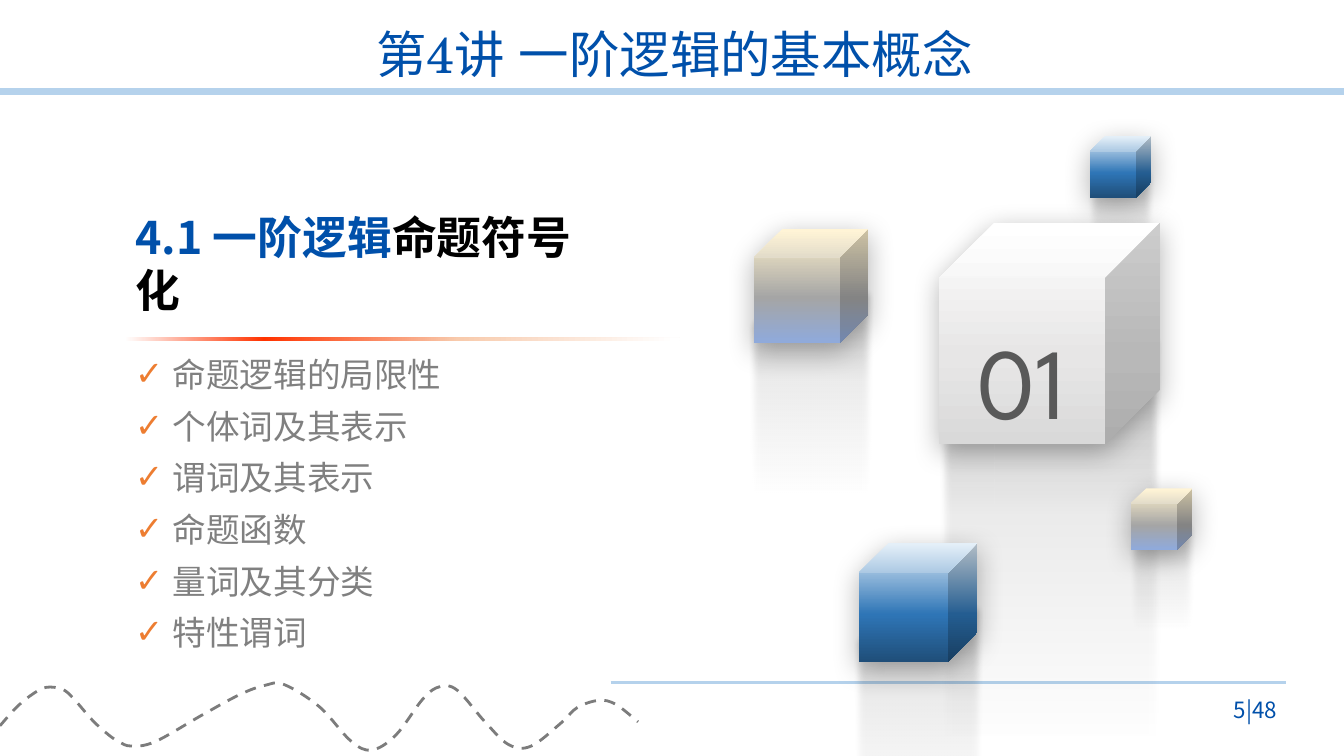
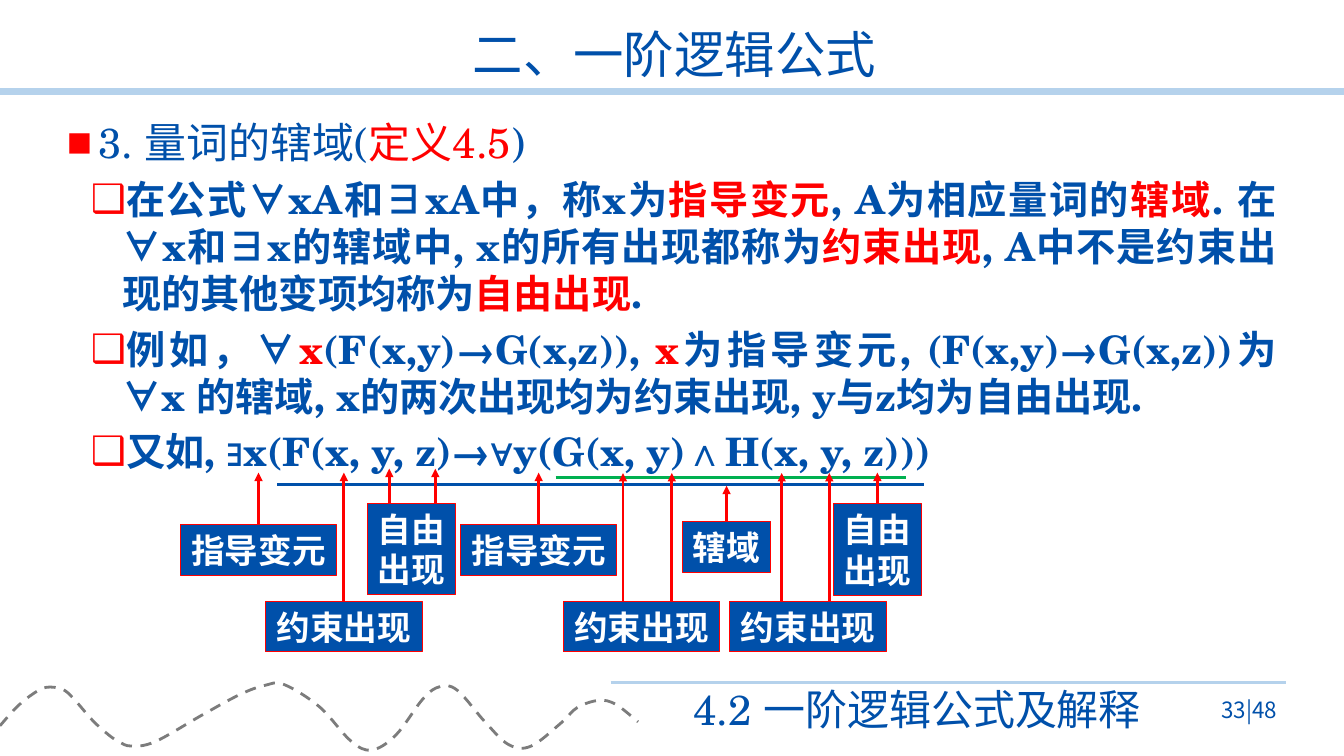
"""Build two lecture slides on first-order logic."""
from dataclasses import dataclass
from typing import Any, NamedTuple

from lxml import etree
from pptx import Presentation
from pptx.dml.color import RGBColor
from pptx.enum.dml import MSO_LINE
from pptx.enum.shapes import MSO_CONNECTOR, MSO_SHAPE
from pptx.enum.text import MSO_ANCHOR, MSO_AUTO_SIZE, PP_ALIGN
from pptx.oxml.ns import qn
from pptx.util import Cm, Pt

STRAIGHT = MSO_CONNECTOR.STRAIGHT
CUBE, RECT, ROUND_RECT = MSO_SHAPE.CUBE, MSO_SHAPE.RECTANGLE, MSO_SHAPE.ROUNDED_RECTANGLE
DASH = MSO_LINE.DASH
TOP, MIDDLE, BOTTOM = MSO_ANCHOR.TOP, MSO_ANCHOR.MIDDLE, MSO_ANCHOR.BOTTOM
LEFT, CENTER, RIGHT, JUSTIFY = PP_ALIGN.LEFT, PP_ALIGN.CENTER, PP_ALIGN.RIGHT, PP_ALIGN.JUSTIFY
FIXED = MSO_AUTO_SIZE.NONE

BLUE = RGBColor(0x00, 0x50, 0xAA)
RED = RGBColor(0xFF, 0x00, 0x00)
GREEN = RGBColor(0x00, 0xB0, 0x50)
ORANGE = RGBColor(0xED, 0x7D, 0x31)
BAND = RGBColor(0xB5, 0xD2, 0xEC)
GRAY = RGBColor(0x80, 0x80, 0x80)
WAVE_GRAY = RGBColor(0x7C, 0x7C, 0x7C)
DARK_GRAY = RGBColor(0x59, 0x59, 0x59)
BLACK = RGBColor(0, 0, 0)
WHITE = RGBColor(0xFF, 0xFF, 0xFF)

SANS, SERIF = "Noto Sans CJK SC", "TeX Gyre Schola"
TITLE_FONT = {"name": SERIF, "size": Pt(36), "bold": False}
TOPIC_FONT = {"name": SERIF, "size": Pt(30), "bold": False}
DETAIL_FONT = {"name": SERIF, "size": Pt(28), "bold": True}
HEADING_FONT = {"name": SANS, "size": Pt(32), "bold": True}
ITEM_FONT = {"name": SANS, "size": Pt(24), "bold": False}
LABEL_FONT = {"name": SANS, "size": Pt(24), "bold": True}
PAGE_FONT = {"name": SANS, "size": Pt(16), "bold": False}
NUMBER_FONT = {"name": "League Spartan", "size": Pt(72), "bold": False}


class Box(NamedTuple):
    """Left, top, width and height in centimetres."""
    left: float
    top: float
    width: float
    height: float

    def emu(self) -> list[int]:
        """Return the four lengths for python-pptx."""
        return [Cm(value) for value in self]


class Stop(NamedTuple):
    """One gradient stop; position and opacity are percentages."""
    position: int
    color: str
    opacity: int = 100


class Span(NamedTuple):
    """A run of text in one colour."""
    text: str
    color: RGBColor = BLUE


@dataclass
class Para:
    """A paragraph with its font, spacing and bullet."""
    spans: list[Span]
    font: dict[str, Any]
    align: Any = LEFT
    spacing: Any = 1.0
    before: float = 0
    after: float = 0
    bullet: str = ""
    bullet_color: RGBColor = RED
    margin: float = 0
    hanging: float = 0
    level: int = 0


@dataclass
class Block:
    """A cube and the reflection below it."""
    cube: Box
    reflection: Box
    stops: list[Stop]
    number: str = ""


@dataclass
class Callout:
    """A label whose arrows rise to the tips; one tip starts at the centre."""
    label: str
    box: Box
    tip_top: float
    tips: tuple[float, ...] = ()


TITLE_BOX = Box(3.99, 0.62, 26.01, 1.65)
PAGE_BOX = Box(29.76, 17.37, 2.67, 1.02)
WAVE = [(0, 18.29), (0.43, 17.81), (0.84, 17.48), (1.17, 17.32), (1.57, 17.37), (1.85, 17.6),
        (2.34, 18.16), (2.74, 18.52), (3, 18.69), (3.3, 18.8), (3.91, 18.69), (5.11, 18.01),
        (6.05, 17.5), (6.68, 17.27), (7.16, 17.25), (8.05, 17.81), (8.84, 18.67), (9.37, 18.9),
        (9.98, 18.52), (10.67, 17.6), (11.1, 17.3), (11.53, 17.4), (12.24, 18.21),
        (12.83, 18.77), (13.39, 18.8), (14.15, 18.21), (14.55, 17.83), (15.09, 17.65),
        (15.52, 17.75), (16.08, 18.19)]

REFLECTION = [Stop(30, "000000", 0), Stop(50, "000000", 4), Stop(70, "000000", 8),
              Stop(100, "262626", 30)]
SKY = [Stop(1, "DEEBF7"), Stop(60, "2E75B6"), Stop(100, "1F4E79")]
SAND = [Stop(1, "FFF2CC"), Stop(60, "A5A5A5"), Stop(100, "8FAADC")]
SILVER = [Stop(0, "FFFFFF"), Stop(60, "E7E6E6"), Stop(100, "D9D9D9")]
FLAME = [Stop(0, "FFFFFF"), Stop(25, "FF3300"), Stop(60, "F8CBAD"), Stop(99, "FFFFFF")]
BLOCKS = [
    Block(Box(27.46, 3.43, 1.55, 1.55), Box(27.38, 4.22, 1.73, 4.22), SKY),
    Block(Box(23.67, 5.61, 5.56, 5.59), Box(23.65, 8.43, 5.64, 15.09), SILVER, "01"),
    Block(Box(21.64, 13.69, 2.99, 2.99), Box(21.49, 15.19, 3.33, 8.13), SKY),
    Block(Box(28.5, 12.31, 1.55, 1.55), Box(28.42, 13.11, 1.73, 4.22), SAND),
    Block(Box(19, 5.77, 2.88, 2.88), Box(18.85, 7.24, 3.2, 7.85), SAND),
]
TOPICS = ["命题逻辑的局限性", "个体词及其表示", "谓词及其表示", "命题函数", "量词及其分类", "特性谓词"]

SCOPE = [Span("3. 量词的辖域("), Span("定义4.5", RED), Span(")")]
DETAILS = [
    [Span("在公式∀xA和∃xA中，称x为"), Span("指导变元", RED), Span(", A为相应量词的"),
     Span("辖域", RED), Span(". 在∀x和∃x的辖域中, x的所有出现都称为"), Span("约束出现", RED),
     Span(", A中不是约束出现的其他变项均称为"), Span("自由出现", RED), Span(".")],
    [Span("例如，∀"), Span("x", RED), Span("(F(x,y)→G(x,z)), "), Span("x", RED),
     Span("为指导变元, (F(x,y)→G(x,z))为∀x 的辖域, x的两次出现均为约束出现, y与z均为自由出现.")],
    [Span("又如, ∃x(F(x, y, z)→∀y(G(x, y)∧H(x, y, z)))")],
]
CALLOUTS = [
    Callout("指导变元", Box(4.55, 13.22, 3.93, 1.28), 11.91),
    Callout("指导变元", Box(11.61, 13.22, 3.93, 1.28), 11.91),
    Callout("自由\n出现", Box(9.26, 12.69, 2.22, 2.3), 11.81, (9.81, 10.97)),
    Callout("辖域", Box(17.19, 13.14, 2.24, 1.28), 12.24),
    Callout("约束出现", Box(6.69, 15.15, 3.95, 1.28), 11.91),
    Callout("约束出现", Box(14.19, 15.15, 3.95, 1.28), 11.92, (15.7, 16.93)),
    Callout("约束出现", Box(18.39, 15.15, 3.95, 1.28), 11.92, (19.7, 20.9)),
    Callout("自由\n出现", Box(21, 12.69, 2.22, 2.31), 11.91),
]


def add_node(parent: Any, tag: str, **attributes: Any) -> Any:
    """Append a DrawingML element with the given attributes."""
    return etree.SubElement(parent, qn(tag), {key: str(v) for key, v in attributes.items()})


def add_color(parent: Any, color: Any, opacity: int = 100) -> None:
    """Append an RGB colour, with its opacity in percent."""
    node = add_node(parent, "a:srgbClr", val=color)
    if opacity < 100:
        add_node(node, "a:alpha", val=opacity * 1000)


def write(frame: Any, paras: list[Para], anchor: Any = TOP, wrap: bool = True) -> None:
    """Fill a text frame with formatted paragraphs."""
    frame.word_wrap, frame.auto_size, frame.vertical_anchor = wrap, FIXED, anchor
    for index, para in enumerate(paras):
        line = frame.add_paragraph() if index else frame.paragraphs[0]
        layout = {"alignment": para.align, "line_spacing": para.spacing, "level": para.level,
                  "space_before": Pt(para.before), "space_after": Pt(para.after)}
        for key, value in layout.items():
            setattr(line, key, value)
        props = line._p.get_or_add_pPr()
        props.set("marL", str(Cm(para.margin)))
        props.set("indent", str(-Cm(para.hanging)))
        if para.bullet:
            add_color(add_node(props, "a:buClr"), para.bullet_color)
            add_node(props, "a:buChar", char=para.bullet)
        else:
            add_node(props, "a:buNone")
        for span in para.spans:
            run = line.add_run()
            run.text = span.text
            for key, value in para.font.items():
                setattr(run.font, key, value)
            run.font.color.rgb = span.color
            latin = run.font._element.find(qn("a:latin"))
            latin.addnext(etree.Element(qn("a:ea"), typeface=para.font["name"]))


def fill_placeholder(holder: Any, box: Box, paras: list[Para], anchor: Any = TOP) -> None:
    """Move a placeholder and write its text."""
    for key, value in zip(("left", "top", "width", "height"), box.emu()):
        setattr(holder, key, value)
    write(holder.text_frame, paras, anchor)


def add_line(slide: Any, start: tuple[float, float], end: tuple[float, float],
             color: RGBColor, width: float, arrow: bool = False) -> Any:
    """Draw a straight line, with an arrowhead at its end if asked."""
    line = slide.shapes.add_connector(STRAIGHT, *map(Cm, start + end))
    line.line.color.rgb, line.line.width = color, Pt(width)
    if arrow:
        add_node(line.line._get_or_add_ln(), "a:tailEnd", type="triangle")
    add_node(line.element.spPr, "a:effectLst")
    return line


def add_gradient_shape(slide: Any, kind: Any, box: Box, stops: list[Stop], angle: int) -> Any:
    """Draw an outline-free shape with a linear gradient."""
    shape = slide.shapes.add_shape(kind, *box.emu())
    shape.fill.background()
    shape.line.fill.background()
    shape.shadow.inherit = False
    gradient = etree.Element(qn("a:gradFill"), rotWithShape="1")
    stop_list = add_node(gradient, "a:gsLst")
    for stop in stops:
        add_color(add_node(stop_list, "a:gs", pos=stop.position * 1000), stop.color, stop.opacity)
    add_node(gradient, "a:lin", ang=angle * 60000, scaled=0)
    props = shape.element.spPr
    props.replace(props.find(qn("a:noFill")), gradient)
    return shape


def add_block(slide: Any, block: Block) -> None:
    """Draw a cube over its soft reflection."""
    reflection = add_gradient_shape(slide, CUBE, block.reflection, REFLECTION, 90)
    reflection.rotation = 180
    add_node(reflection.element.spPr.find(qn("a:effectLst")), "a:softEdge", rad=Pt(5))
    cube = add_gradient_shape(slide, CUBE, block.cube, block.stops, 90)
    shadow = add_node(cube.element.spPr.find(qn("a:effectLst")), "a:outerShdw",
                      blurRad=Pt(20), dist=Pt(5), dir=90 * 60000, rotWithShape=0)
    add_color(shadow, BLACK, 30)
    if block.number:
        number = Para([Span(block.number, DARK_GRAY)], NUMBER_FONT, CENTER, 1.3)
        write(cube.text_frame, [number], MIDDLE)


def add_callout(slide: Any, callout: Callout) -> None:
    """Draw a label and its arrows."""
    box = callout.box
    label = slide.shapes.add_shape(RECT, *box.emu())
    label.shadow.inherit = False
    label.fill.solid()
    label.fill.fore_color.rgb = BLUE
    label.line.color.rgb, label.line.width = RED, Pt(0.75)
    write(label.text_frame, [Para([Span(text, WHITE)], LABEL_FONT, CENTER, Pt(28.8))
                             for text in callout.label.split("\n")], MIDDLE, False)
    for x in callout.tips or (box.left + box.width / 2,):
        arrow = add_line(slide, (x, box.top), (x, callout.tip_top), RED, 2, True)
        if not callout.tips:
            arrow.begin_connect(label, 0)


def smooth(outline: Any) -> None:
    """Turn the segments of an open outline into Catmull-Rom curves."""
    corners = list(outline.element.iter(qn("a:pt")))
    knots = [(int(corner.get("x")), int(corner.get("y"))) for corner in corners]
    ends = [knots[0], *knots, knots[-1]]
    for corner, before, start, end, after in zip(corners[1:], ends, ends[1:], ends[2:], ends[3:]):
        segment = corner.getparent()
        curve = etree.Element(qn("a:cubicBezTo"))
        leaving = [s + (e - b) // 6 for b, s, e in zip(before, start, end)]
        arriving = [e - (a - s) // 6 for s, e, a in zip(start, end, after)]
        for x, y in (leaving, arriving, end):
            add_node(curve, "a:pt", x=x, y=y)
        segment.getparent().replace(segment, curve)


def furnish_layout(slide: Any) -> None:
    """Draw the band, footer line and wave, and hand them to the layout."""
    band = add_line(slide, (0, 2.31), (33.87, 2.31), BAND, 5)
    footer = add_line(slide, (15.39, 17.2), (32.41, 17.2), BAND, 1.75)
    builder = slide.shapes.build_freeform(*map(Cm, WAVE[0]))
    builder.add_line_segments([(Cm(x), Cm(y)) for x, y in WAVE[1:]], close=False)
    wave = builder.convert_to_shape()
    smooth(wave)
    wave.fill.background()
    wave.shadow.inherit = False
    wave.line.color.rgb, wave.line.width, wave.line.dash_style = WAVE_GRAY, Pt(2), DASH
    for number, part in enumerate((band, footer, wave), 101):
        part.element.xpath(".//p:cNvPr")[0].set("id", str(number))
        slide.slide_layout.shapes.element.append(part.element)


def add_page(deck: Any, title: str, page: str) -> Any:
    """Add a slide with its title and page number."""
    slide = deck.slides.add_slide(deck.slide_layouts[3])
    fill_placeholder(slide.shapes.title, TITLE_BOX,
                     [Para([Span(title)], TITLE_FONT, CENTER, 0.9)], MIDDLE)
    number = slide.shapes.add_textbox(*PAGE_BOX.emu())
    write(number.text_frame, [Para([Span(page)], PAGE_FONT, RIGHT)], MIDDLE)
    return slide


def build_contents(deck: Any) -> None:
    """Build the section opener."""
    slide = add_page(deck, "第4讲 一阶逻辑的基本概念", "5|48")
    furnish_layout(slide)
    for block in BLOCKS:
        add_block(slide, block)
    heading = Para([Span("4.1 一阶逻辑"), Span("命题符号化", BLACK)], HEADING_FONT, spacing=Pt(38))
    fill_placeholder(slide.placeholders[1], Box(3.15, 5.11, 12.5, 3), [heading], BOTTOM)
    rule = add_gradient_shape(slide, ROUND_RECT, Box(3.15, 8.5, 14, 0.1), FLAME, 0)
    rule.adjustments[0] = 0.5
    items = [Para([Span(topic, GRAY)], ITEM_FONT, spacing=Pt(28.8), after=8.1, bullet="✓",
                  bullet_color=ORANGE, margin=0.95, hanging=0.95) for topic in TOPICS]
    fill_placeholder(slide.placeholders[2], Box(3.15, 8.79, 12, 8), items)


def build_scope(deck: Any) -> None:
    """Build the slide on quantifier scope."""
    slide = add_page(deck, "二、一阶逻辑公式", "33|48")
    bulleted = {"align": JUSTIFY, "before": 6, "bullet": "■", "margin": 0.79, "hanging": 0.79}
    nested = {**bulleted, "bullet": "❑", "margin": 1.4, "level": 1}
    paras = [Para(SCOPE, TOPIC_FONT, **bulleted)]
    paras += [Para(spans, DETAIL_FONT, **nested) for spans in DETAILS]
    fill_placeholder(slide.placeholders[1], Box(1.43, 2.81, 30.99, 9.37), paras)
    section = Para([Span("4.2 一阶逻辑公式及解释")], TOPIC_FONT, RIGHT, before=6)
    fill_placeholder(slide.placeholders[2], Box(14, 17.09, 15.01, 1.55), [section])
    add_line(slide, (14, 12.04), (22.83, 12.04), GREEN, 2)
    add_line(slide, (6.99, 12.2), (23.29, 12.2), BLUE, 2)
    for callout in CALLOUTS:
        add_callout(slide, callout)


def main() -> None:
    """Build and save the deck."""
    deck = Presentation()
    deck.slide_width, deck.slide_height = Cm(33.87), Cm(19.05)
    build_contents(deck)
    build_scope(deck)
    deck.save("out.pptx")


if __name__ == "__main__":
    main()
